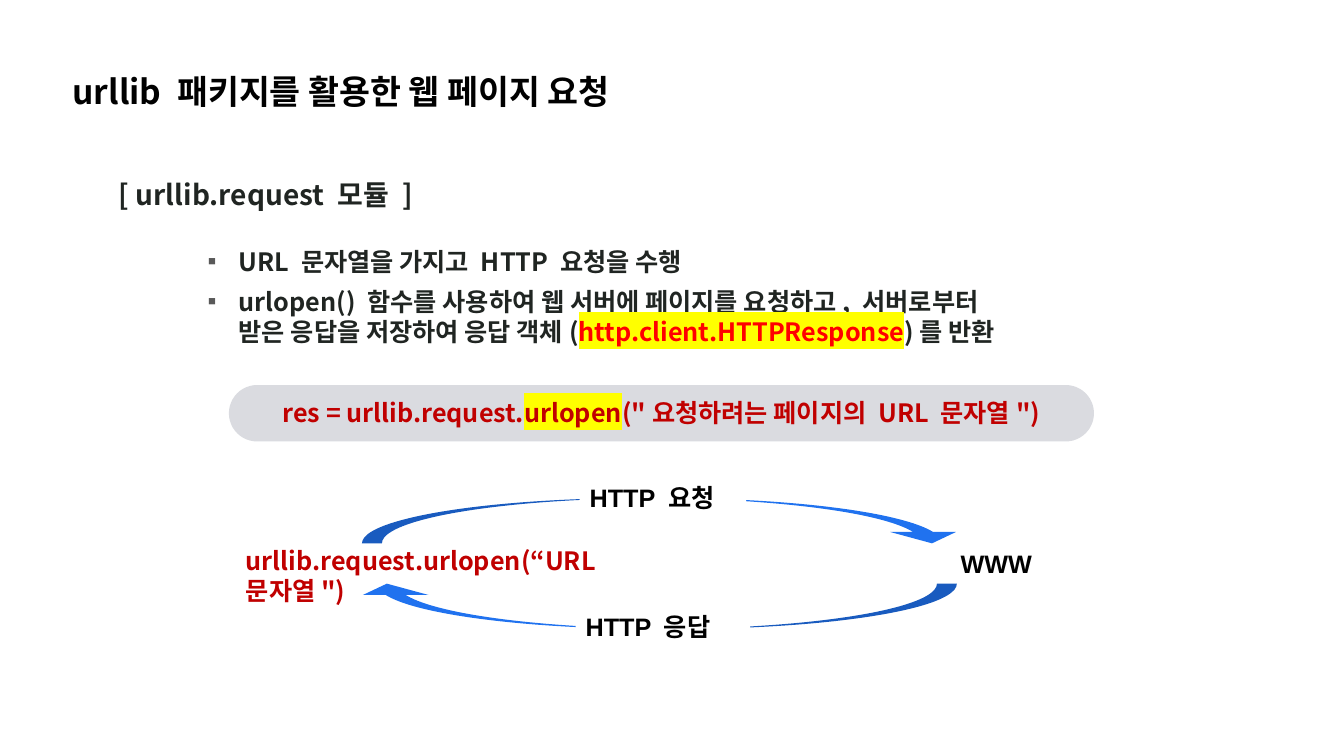
import pptx
import pptx.util
import pptx.dml.color
import pptx.enum.shapes
import pptx.enum.text
import pptx.oxml
import pptx.oxml.ns
from lxml import etree

Inches = pptx.util.Inches
Pt = pptx.util.Pt
Shape = pptx.enum.shapes.MSO_SHAPE
Align = pptx.enum.text.PP_ALIGN
qn = pptx.oxml.ns.qn

COLORS = {
    "black": "000000",
    "white": "FFFFFF",
    "ink": "202522",
    "code": "C00000",
    "red": "FF0000",
    "mark": "FFFF00",
    "bullet": "595959",
    "pill": "DADBE0",
    "arrow": "2072EF",
}
NOTO = "Noto Sans CJK KR"


def paint(color):
    return pptx.dml.color.RGBColor.from_string(COLORS[color])


def add_color(parent, tag, color):
    node = etree.SubElement(parent, qn(tag))
    etree.SubElement(node, qn("a:srgbClr")).set("val", COLORS[color])
    return node


def add_run(para, text, size, font, color, mark=None):
    run = para.add_run()
    run.text = text
    run.font.size = Pt(size)
    run.font.bold = True
    run.font.name = font
    run.font.color.rgb = paint(color)
    props = run.font._element
    latin = props.find(qn("a:latin"))
    east = etree.SubElement(props, qn("a:ea"))
    east.set("typeface", NOTO)
    latin.addnext(east)
    if mark:
        latin.addprevious(add_color(props, "a:highlight", mark))


def add_bullet(para):
    props = para._p.get_or_add_pPr()
    props.set("marL", str(Inches(0.31)))
    props.set("indent", str(-Inches(0.31)))
    add_color(props, "a:buClr", "bullet")
    etree.SubElement(props, qn("a:buFont")).set("typeface", "Arial")
    etree.SubElement(props, qn("a:buChar")).set("char", "▪")


def write(shape, *paras, size=18, font=NOTO, color="black",
          align=Align.LEFT, wrap=True, bullet=False, gap=0):
    frame = shape.text_frame
    frame.word_wrap = wrap
    frame.vertical_anchor = pptx.enum.text.MSO_ANCHOR.TOP
    for index, parts in enumerate(paras):
        para = frame.add_paragraph() if index else frame.paragraphs[0]
        if bullet:
            add_bullet(para)
        para.alignment = align
        if index:
            para.space_before = Pt(gap)
        for part in parts:
            text, tone, mark = part if isinstance(part, tuple) else (part, color, None)
            add_run(para, text, size, font, tone, mark)


def add_text(shapes, place, *paras, **style):
    box = shapes.add_textbox(*map(Inches, place))
    write(box, *paras, **style)


def add_form(shapes, kind, place, color, adjust=(), turn=0):
    form = shapes.add_shape(kind, *map(Inches, place))
    form.shadow.inherit = False
    form.fill.solid()
    form.fill.fore_color.rgb = paint(color)
    form.line.fill.background()
    form.rotation = turn
    for index, value in enumerate(adjust):
        form.adjustments[index] = value
    return form


def add_label(shapes, place, text):
    label = add_form(shapes, Shape.RECTANGLE, place, "white")
    write(label, [text], font="Arial")


def add_arrow(shapes, left, top, turn=0):
    add_form(shapes, Shape.CURVED_DOWN_ARROW, (left, top, 5.98, 0.45),
             "arrow", (0.44, 1.45, 0.25), turn)


def main():
    deck = pptx.Presentation()
    deck.slide_width = Inches(13.33)
    deck.slide_height = Inches(7.5)
    shapes = deck.slides.add_slide(deck.slide_layouts[6]).shapes

    add_text(shapes, (1.96, 2.39, 8.31, 1.11),
             ["URL 문자열을 가지고 HTTP 요청을 수행"],
             ["urlopen() 함수를 사용하여 웹 서버에 페이지를 요청하고, "
              "서버로부터 받은 응답을 저장하여 응답 객체(",
              ("http.client.HTTPResponse", "red", "mark"), ")를 반환"],
             color="ink", bullet=True, gap=7)

    call = shapes.add_group_shape().shapes
    add_form(call, Shape.ROUNDED_RECTANGLE, (2.27, 3.82, 8.58, 0.56), "pill", (0.5,))
    add_text(call, (2.67, 3.89, 7.78, 0.4),
             ["res = urllib.request.", ("urlopen", "code", "mark"),
              '("요청하려는 페이지의 URL 문자열")'],
             color="code", align=Align.CENTER)

    cycle = shapes.add_group_shape().shapes
    add_label(cycle, (9.43, 5.39, 1.47, 0.47), "WWW")
    add_arrow(cycle, 3.59, 4.94)
    add_text(cycle, (2.34, 5.36, 4.22, 0.4),
             ['urllib.request.urlopen(“URL 문자열")'], color="code")
    add_label(cycle, (5.75, 4.74, 1.65, 0.4), "HTTP 요청")
    add_arrow(cycle, 3.51, 5.79, 180)
    add_label(cycle, (5.71, 6.02, 1.73, 0.4), "HTTP 응답")

    add_text(shapes, (1.08, 1.71, 8.82, 0.44), ["[ urllib.request 모듈 ]"],
             size=20, color="ink")
    add_text(shapes, (0.62, 0.65, 6.43, 0.5),
             ["urllib 패키지를 활용한 웹 페이지 요청"], size=24, wrap=False)

    deck.save("out.pptx")


if __name__ == "__main__":
    main()
